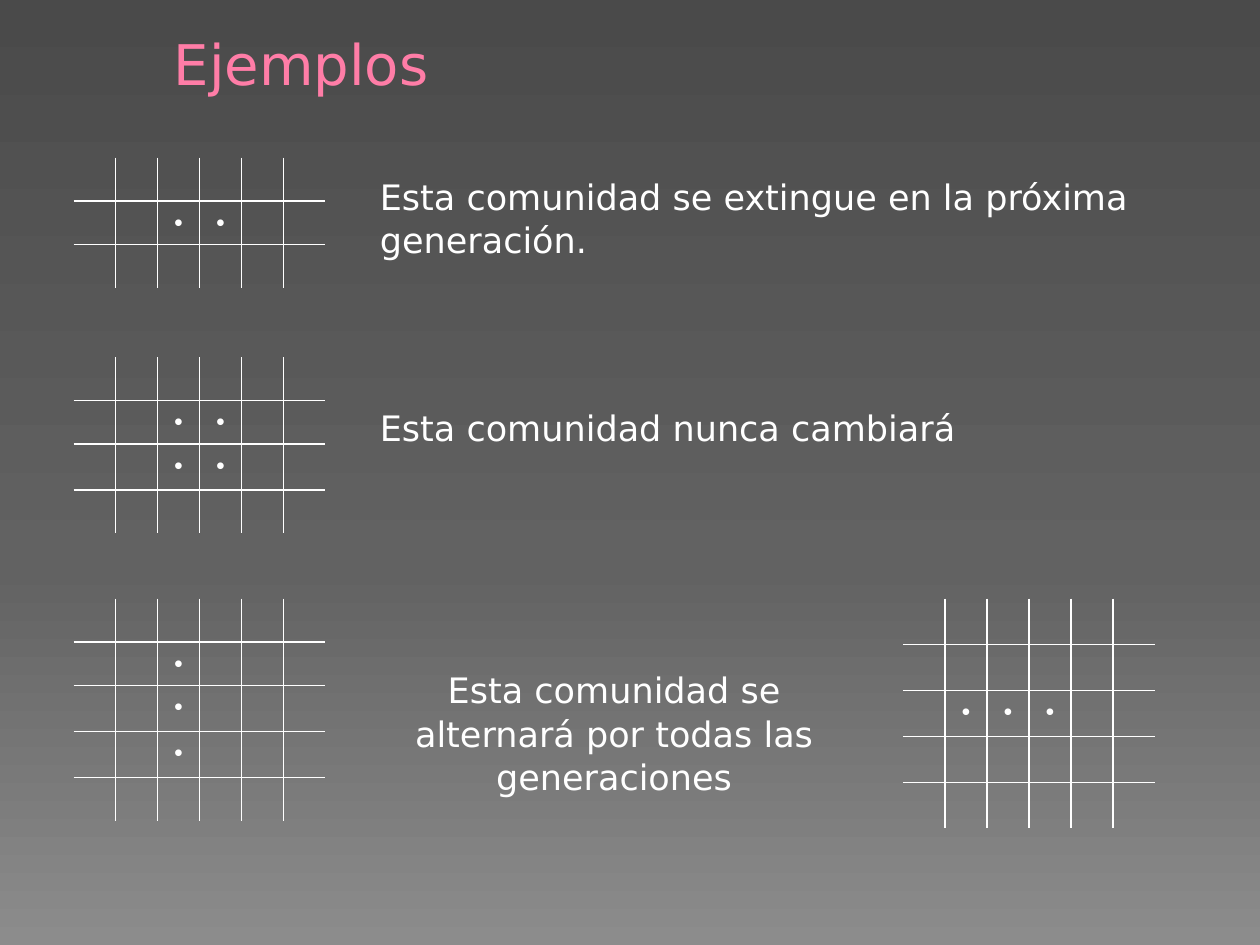
from copy import deepcopy
from dataclasses import dataclass

from lxml import etree
from pptx import Presentation
from pptx import util as u
from pptx.dml.color import RGBColor as Rgb
from pptx.enum import text as t
from pptx.oxml import ns


@dataclass(frozen=True)
class Theme:
    title: str = "FF7DA7"
    ink: str = "FFFFFF"
    sans: str = "DejaVu Sans"
    serif: str = "Times New Roman"
    head: int = 32
    body: int = 20
    dot: int = 16
    line: int = 1
    back: tuple = ((0, "4A4A4A"), (0.6, "626262"), (1, "8C8C8C"))


THEME = Theme()
UNIT = u.Inches(10) / 120
SIDE = 4
LOW = 4.14
HIGH = 4.38
EMPTY = "......"


def grid(*nums):
    return [round(n * UNIT) for n in nums]


def style(para, size, face, color, align):
    para.alignment = align
    for run in para.runs:
        run.font.size = u.Pt(size)
        run.font.name = face
        run.font.color.rgb = Rgb.from_string(color)


def paint(slide):
    fill = slide.background.fill
    fill.gradient()
    fill.gradient_angle = 270
    stops = slide.element.xpath(".//p:bgPr//a:gsLst")[0]
    stops.append(deepcopy(stops[-1]))
    for stop, (place, color) in zip(fill.gradient_stops, THEME.back):
        stop.position = place
        stop.color.rgb = Rgb.from_string(color)


def head(slide, words):
    title = slide.shapes.title
    title.left, title.top, title.width, title.height = grid(9, 0, 102, 12)
    frame = title.text_frame
    frame.text = words
    frame.margin_left = u.Inches(0.63)
    frame.vertical_anchor = t.MSO_ANCHOR.MIDDLE
    style(frame.paragraphs[0], THEME.head, THEME.sans, THEME.title, t.PP_ALIGN.LEFT)


def note(slide, words, box, align=t.PP_ALIGN.LEFT):
    frame = slide.shapes.add_textbox(*grid(*box)).text_frame
    frame.word_wrap = True
    frame.text = words
    para = frame.paragraphs[0]
    para.line_spacing = 1.03
    style(para, THEME.body, THEME.sans, THEME.ink, align)


def edge(cell, side, shown):
    props = cell._tc.get_or_add_tcPr()
    line = etree.SubElement(props, ns.qn(f"a:ln{side}"), w=str(u.Pt(THEME.line)))
    if shown:
        fill = etree.SubElement(line, ns.qn("a:solidFill"))
        etree.SubElement(fill, ns.qn("a:srgbClr"), val=THEME.ink)
    else:
        etree.SubElement(line, ns.qn("a:noFill"))


def board(slide, left, top, lives, sizes):
    rows, cols = len(lives), len(EMPTY)
    box = grid(left, top, cols * SIDE, sum(sizes))
    table = slide.shapes.add_table(rows, cols, *box).table
    table.first_row = table.horz_banding = False
    for col in table.columns:
        col.width = grid(SIDE)[0]
    for row, size in zip(table.rows, sizes):
        row.height = grid(size)[0]
    for r, life in enumerate(lives):
        for c, mark in enumerate(life):
            cell = table.cell(r, c)
            inner = {"L": c > 0, "R": c < cols - 1, "T": r > 0, "B": r < rows - 1}
            for side, shown in inner.items():
                edge(cell, side, shown)
            cell.fill.background()
            cell.margin_top = cell.margin_bottom = 0
            if mark == "o":
                cell.margin_top = u.Inches(0.05)
                cell.text = "•"
                style(cell.text_frame.paragraphs[0], THEME.dot, THEME.serif,
                      THEME.ink, t.PP_ALIGN.CENTER)


def main():
    deck = Presentation()
    deck.slide_width, deck.slide_height = grid(120, 90)
    slide = deck.slides.add_slide(deck.slide_layouts[5])
    paint(slide)
    head(slide, "Ejemplos")

    pair, post = "..oo..", "..o..."
    board(slide, 7, 15, [EMPTY, pair, EMPTY], [LOW] * 3)
    board(slide, 7, 34, [EMPTY, pair, pair, EMPTY], [LOW, LOW, HIGH, LOW])
    board(slide, 7, 57, [EMPTY, post, post, post, EMPTY], [LOW, LOW, HIGH, HIGH, LOW])
    board(slide, 86, 57, [EMPTY, EMPTY, ".ooo..", EMPTY, EMPTY], [HIGH] * 5)

    note(slide, "Esta comunidad se extingue en la próxima generación.", (35, 16, 85, 9.2))
    note(slide, "Esta comunidad nunca cambiará", (35, 38, 85, 5.2))
    note(slide, "Esta comunidad se alternará por todas las generaciones",
         (35, 63, 47, 13.2), t.PP_ALIGN.CENTER)
    deck.save("out.pptx")


if __name__ == "__main__":
    main()
